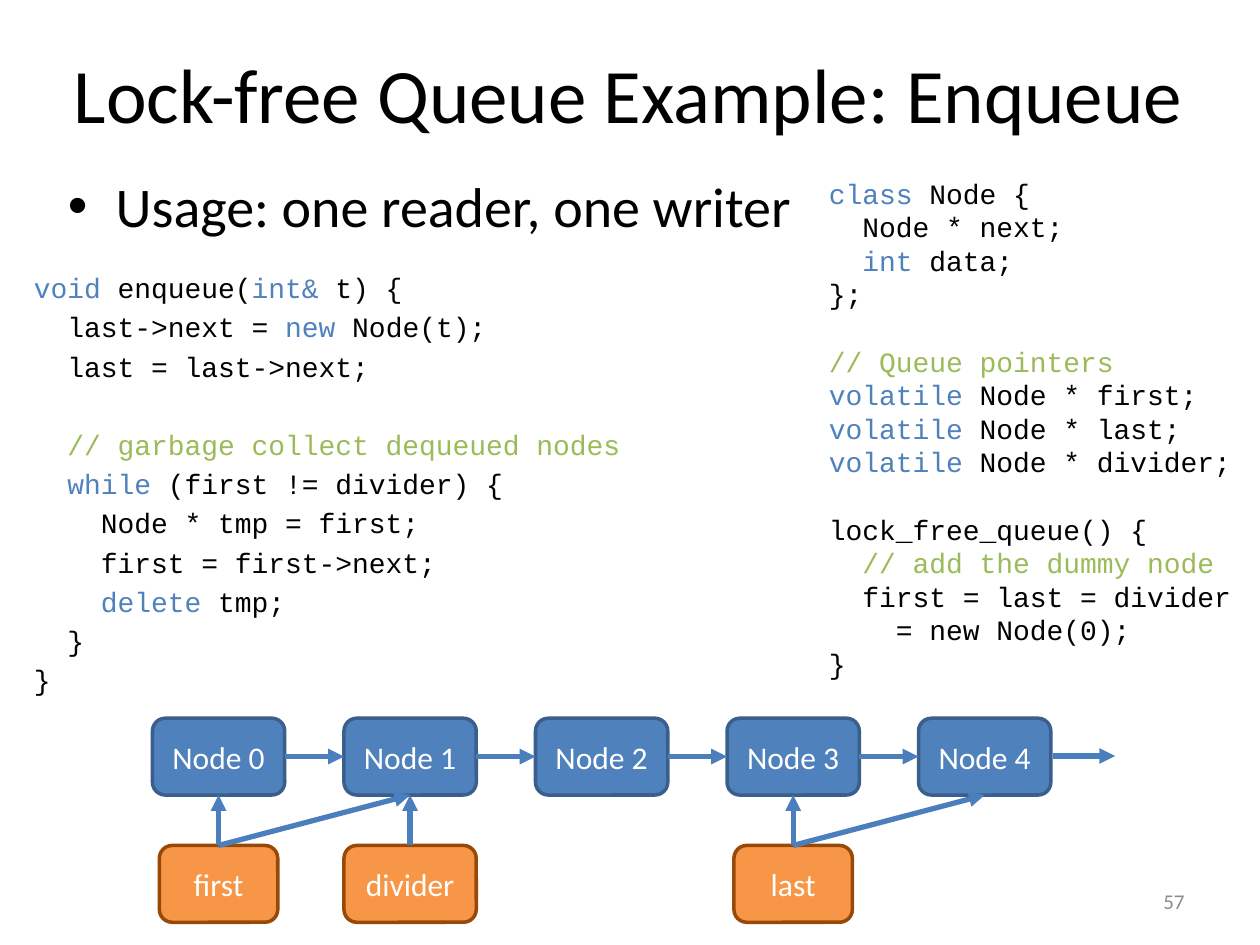
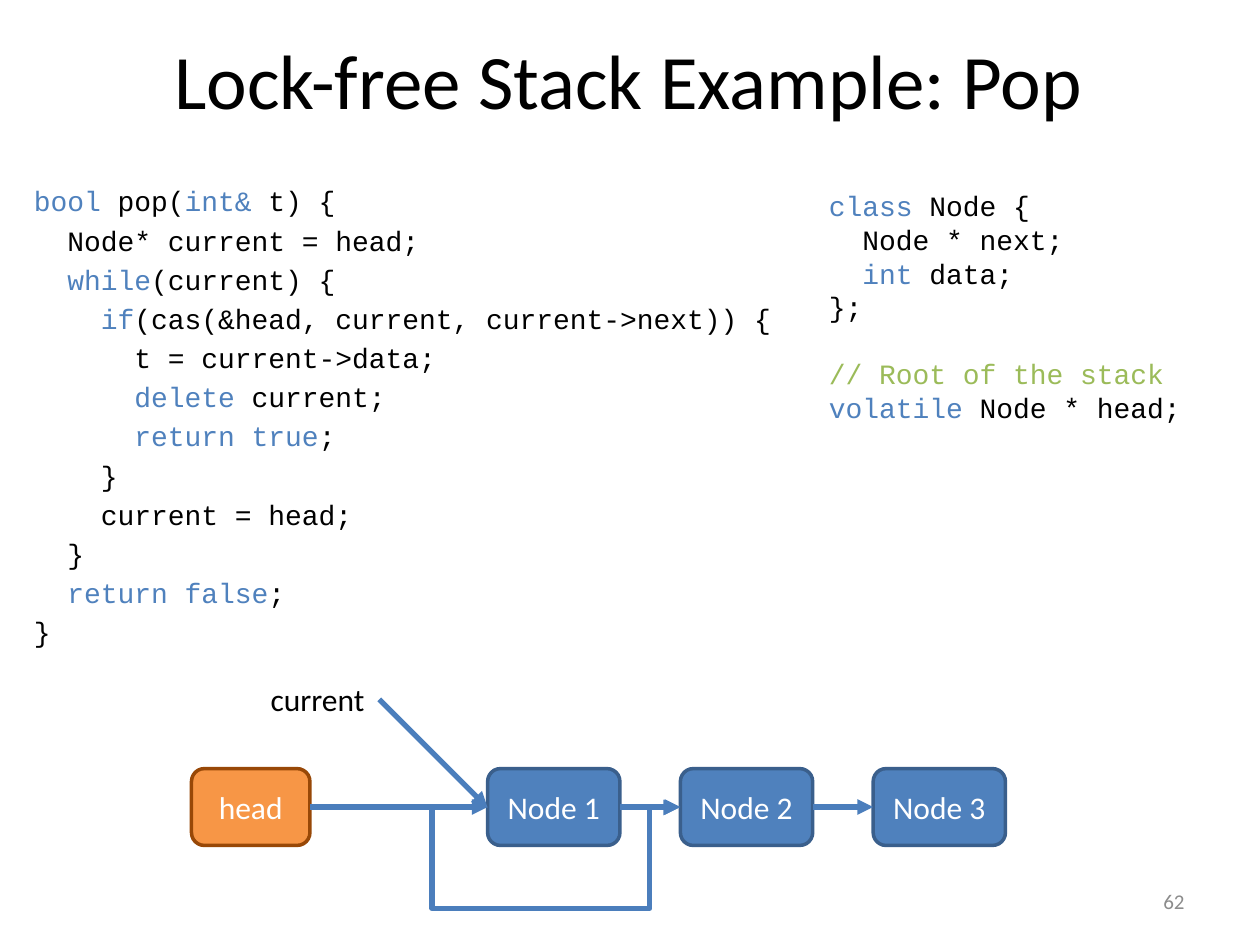
from dataclasses import dataclass

from lxml import etree
from pptx import Presentation
from pptx.dml.color import RGBColor
from pptx.enum.shapes import MSO_CONNECTOR, MSO_SHAPE
from pptx.enum.text import MSO_ANCHOR, PP_ALIGN
from pptx.oxml.ns import qn
from pptx.util import Inches, Pt

STRAIGHT, ELBOW = MSO_CONNECTOR.STRAIGHT, MSO_CONNECTOR.ELBOW
ROUNDED = MSO_SHAPE.ROUNDED_RECTANGLE
TOP, MIDDLE = MSO_ANCHOR.TOP, MSO_ANCHOR.MIDDLE
LEFT, CENTER, RIGHT = PP_ALIGN.LEFT, PP_ALIGN.CENTER, PP_ALIGN.RIGHT
SITE_TOP, SITE_LEFT, SITE_BOTTOM, SITE_RIGHT = range(4)


@dataclass(frozen=True)
class Theme:
    """Colours, fonts and sizes shared by the slides."""
    text: str = "000000"
    light: str = "FFFFFF"
    muted: str = "8C8C8C"
    keyword: str = "4F81BD"
    comment: str = "9BBB59"
    arrow: str = "4B7EBC"
    node: tuple = ("4F81BD", "3A5F8C")
    pointer: tuple = ("F79646", "984807")
    body_font: str = "Calibri"
    code_font: str = "Courier New"
    title_size: int = 44
    bullet_size: int = 32
    label_size: int = 18
    code_size: int = 16
    number_size: int = 12
    code_line: float = 19.2
    code_gap: float = 3.2
    node_width: float = 1.05
    pointer_width: float = 0.94
    box_height: float = 0.61


NODE_CLASS = """`class` Node {
  Node * next;
  `int `data;
};
"""

QUEUE_STATE = NODE_CLASS + """
`// Queue pointers`
`volatile` Node * first;
`volatile` Node * last;
`volatile` Node * divider;

lock_free_queue() {
  `// add the dummy node`
  first = last = divider
    = new Node(0);
}"""

ENQUEUE = """`void `enqueue(`int&` t) {
  last->next = `new` Node(t);
  last = last->next;

  `// garbage collect dequeued nodes`
  `while` (first != divider) {
    Node * tmp = first;
    first = first->next;
    `delete `tmp;
  }
}"""

STACK_STATE = NODE_CLASS + """
`// Root of the stack`
`volatile` Node * head;"""

POP = """`bool` pop(`int&` t) {
  Node* current = head;
  `while`(current) {
    `if`(cas(&head, current, current->next)) {
      t = current->data;
      `delete` current;
      `return true`;
    }
    current = head;
  }
  `return false`;
}"""


class Deck:
    """Draws styled elements on the current slide."""

    def __init__(self, theme):
        """Start an empty presentation."""
        self.theme = theme
        self.presentation = Presentation()
        self.presentation.slide_width = Inches(10)
        self.presentation.slide_height = Inches(7.5)
        self.slide = None

    def new_slide(self, title, number, title_top):
        """Add a slide with its title and number."""
        layout = self.presentation.slide_layouts[6]
        self.slide = self.presentation.slides.add_slide(layout)
        self.text(title, (0.39, title_top, 9.2, 1.25), self.theme.title_size,
                  alignment=CENTER, anchor=MIDDLE)
        self.text(number, (7.17, 6.95, 2.33, 0.4), self.theme.number_size,
                  self.theme.muted, RIGHT, MIDDLE)

    def apply(self, target, values):
        """Set each named attribute on the target."""
        for name, value in values.items():
            setattr(target, name, value)

    def run(self, paragraph, text, size, color, font=None):
        """Append a formatted run."""
        run = paragraph.add_run()
        run.text = text
        self.apply(run.font, {"name": font or self.theme.body_font, "size": Pt(size)})
        run.font.color.rgb = RGBColor.from_string(color)

    def frame(self, box, anchor=TOP, wrap=True):
        """Add a text box and return its text frame."""
        shape = self.slide.shapes.add_textbox(*map(Inches, box))
        self.apply(shape.text_frame, {"word_wrap": wrap, "vertical_anchor": anchor})
        return shape.text_frame

    def text(self, text, box, size, color=None, alignment=LEFT, anchor=TOP, wrap=True):
        """Add one line of text and return its paragraph."""
        paragraph = self.frame(box, anchor, wrap).paragraphs[0]
        paragraph.alignment = alignment
        self.run(paragraph, text, size, color or self.theme.text)
        return paragraph

    def bullet(self, text, box):
        """Add a bulleted line."""
        paragraph = self.text(text, box, self.theme.bullet_size)
        properties = paragraph._p.get_or_add_pPr()
        self_indent = Inches(0.38)
        properties.set("marL", str(self_indent))
        properties.set("indent", str(-self_indent))
        etree.SubElement(properties, qn("a:buFont"), typeface="Arial")
        etree.SubElement(properties, qn("a:buChar"), char="•")

    def code(self, source, box, gap=0):
        """Add code whose backquoted parts are highlighted."""
        theme = self.theme
        frame = self.frame(box)
        paragraph, space = frame.paragraphs[0], 0
        for index, line in enumerate(source.splitlines()):
            if not line:
                space += theme.code_line + gap
                continue
            if index:
                paragraph = frame.add_paragraph()
                paragraph.space_before = Pt(space)
            space = gap
            for position, part in enumerate(line.split("`")):
                color = theme.text
                if position % 2:
                    color = theme.comment if part.startswith("//") else theme.keyword
                if part:
                    self.run(paragraph, part, theme.code_size, color, theme.code_font)

    def box(self, label, left, top, width, colors):
        """Add a rounded box with a label."""
        shape = self.slide.shapes.add_shape(
            ROUNDED, *map(Inches, (left, top, width, self.theme.box_height)))
        fill, outline = map(RGBColor.from_string, colors)
        shape.shadow.inherit = False
        shape.fill.solid()
        shape.fill.fore_color.rgb = fill
        shape.line.color.rgb = outline
        shape.line.width = Pt(2)
        self.apply(shape.text_frame, {"vertical_anchor": MIDDLE, "word_wrap": True,
                                      "margin_left": 0, "margin_right": 0})
        paragraph = shape.text_frame.paragraphs[0]
        paragraph.alignment = CENTER
        self.run(paragraph, label, self.theme.label_size, self.theme.light)
        return shape

    def node_chain(self, numbers, left, top, pitch):
        """Add a row of nodes linked from left to right."""
        nodes = [self.box(f"Node {number}", left + pitch * index, top,
                          self.theme.node_width, self.theme.node)
                 for index, number in enumerate(numbers)]
        for before, after in zip(nodes, nodes[1:]):
            self.link(before, SITE_RIGHT, after, SITE_LEFT)
        return nodes

    def pointer_below(self, label, node, top, width, *targets):
        """Add a pointer centred under a node with arrows to its targets."""
        left = (node.left + node.width / 2) / Inches(1) - width / 2
        pointer = self.box(label, left, top, width, self.theme.pointer)
        for target in (node, *targets):
            self.link(pointer, SITE_TOP, target, SITE_BOTTOM)

    def line(self, start, end, kind=STRAIGHT, arrow=True, bend=None):
        """Add a connector between two points."""
        connector = self.slide.shapes.add_connector(kind, *map(Inches, (*start, *end)))
        connector.line.color.rgb = RGBColor.from_string(self.theme.arrow)
        connector.line.width = Pt(3)
        properties = connector._element.spPr
        if arrow:
            etree.SubElement(connector.line._get_or_add_ln(), qn("a:tailEnd"), type="triangle")
        if bend:
            guides = properties.find(qn("a:prstGeom")).get_or_add_avLst()
            etree.SubElement(guides, qn("a:gd"), name="adj1", fmla=f"val {bend}")
        etree.SubElement(properties, qn("a:effectLst"))
        return connector

    def link(self, source, source_site, target, target_site):
        """Join two shapes with an arrow."""
        connector = self.line((0, 0), (1, 1))
        connector.begin_connect(source, source_site)
        connector.end_connect(target, target_site)


def queue_slide(deck):
    """Build the enqueue slide."""
    deck.new_slide("Lock-free Queue Example: Enqueue", "57", 0.11)
    deck.code(ENQUEUE, (0.17, 2.1, 7.21, 3.91), deck.theme.code_gap)
    deck.code(QUEUE_STATE, (6.48, 1.35, 3.52, 4.14))
    deck.bullet("Usage: one reader, one writer", (0.44, 1.31, 9.32, 0.71))
    nodes = deck.node_chain(range(5), 1.21, 5.7, 1.52)
    deck.line((8.36, 6), (8.85, 6))
    narrow, wide = deck.theme.pointer_width, deck.theme.node_width
    deck.pointer_below("first", nodes[0], 6.71, narrow, nodes[1])
    deck.pointer_below("divider", nodes[1], 6.71, wide)
    deck.pointer_below("last", nodes[3], 6.71, narrow, nodes[4])


def stack_slide(deck):
    """Build the pop slide."""
    deck.new_slide("Lock-free Stack Example: Pop", "62", 0)
    deck.code(POP, (0.17, 1.41, 7.21, 3.91), deck.theme.code_gap)
    deck.code(STACK_STATE, (6.48, 1.45, 3.3, 1.99))
    head = deck.box("head", 1.52, 6.1, deck.theme.pointer_width, deck.theme.pointer)
    nodes = deck.node_chain(range(1, 4), 3.87, 6.1, 1.53)
    deck.link(head, SITE_RIGHT, nodes[0], SITE_LEFT)
    deck.text("current", (2.05, 5.35, 0.96, 0.4), deck.theme.label_size, wrap=False)
    deck.line((3.01, 5.55), (3.87, 6.41))
    detour = (4.4, 7.21)
    deck.line((2.46, 6.41), detour, ELBOW, arrow=False)
    deck.line(detour, (5.39, 6.41), ELBOW, bend=76500)


def main():
    """Build and save the presentation."""
    deck = Deck(Theme())
    queue_slide(deck)
    stack_slide(deck)
    deck.presentation.save("out.pptx")


if __name__ == "__main__":
    main()
